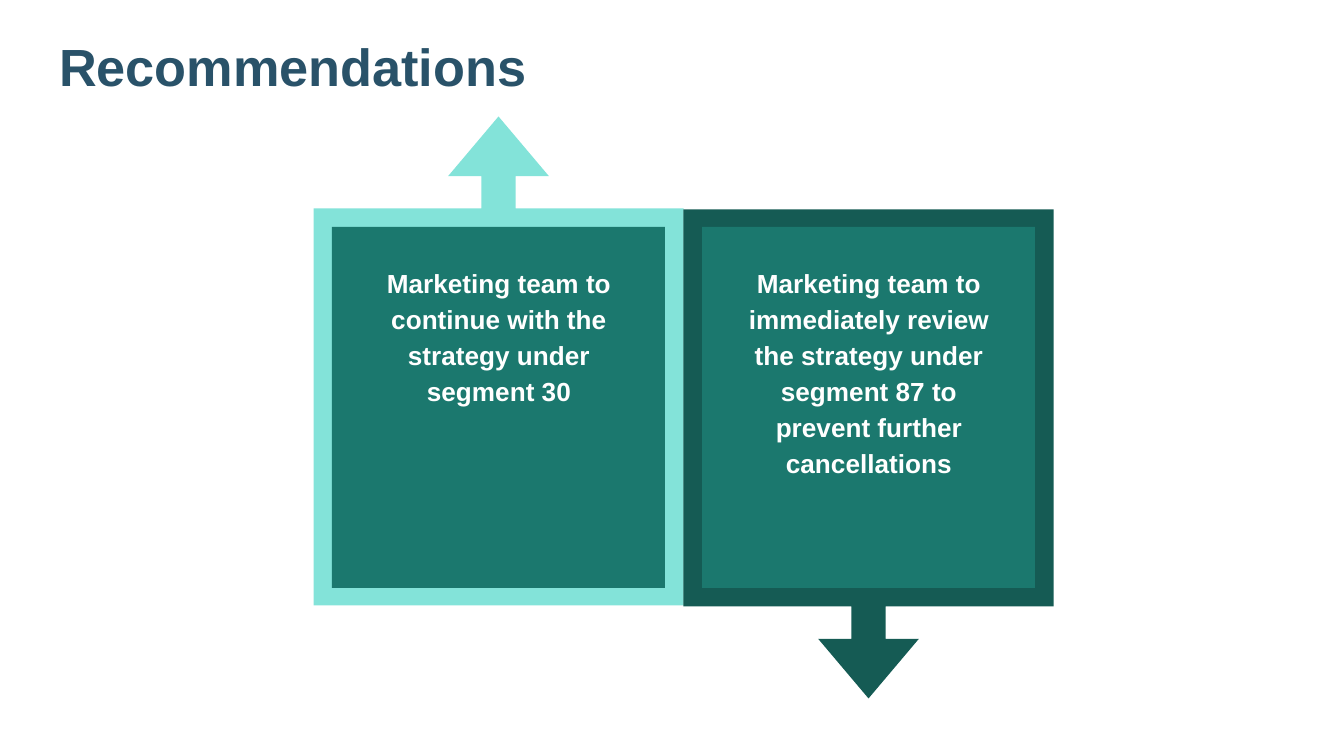
"""Build the Recommendations slide: two framed panels with arrows up and down."""
from pptx import Presentation
from pptx.dml.color import RGBColor as Rgb
from pptx.enum.shapes import MSO_SHAPE as Kind
from pptx.enum.text import PP_ALIGN as Align
from pptx.util import Emu, Inches, Pt

TITLE = "Recommendations"
CARDS = [
    ("Marketing team to continue with the strategy under segment 30", "mint", 270, 176),
    ("Marketing team to immediately review the strategy under segment 87 "
     "to prevent further cancellations", "deep", 90, 269),
]
HEX = {"title": "295269", "mint": "83E3D9", "deep": "155B54",
       "panel": "1B786E", "white": "FFFFFF"}
ARROW = (0.093, 0.136, 0.161, 0.812)
STEP = 370


def px(n):
    return Emu(round(n * 914400 / 134.4))


def add_block(slide, kind, box, color):
    block = slide.shapes.add_shape(kind, *map(px, box))
    block.shadow.inherit = False
    block.fill.solid()
    block.fill.fore_color.rgb = Rgb.from_string(HEX[color])
    block.line.fill.background()
    return block


def add_text(slide, box, text, size, color, align=Align.LEFT, lead=1.0):
    frame = slide.shapes.add_textbox(*map(px, box)).text_frame
    frame.word_wrap = True
    frame.margin_left = frame.margin_right = Inches(0.1)
    frame.margin_top = frame.margin_bottom = Inches(0.1)
    para = frame.paragraphs[0]
    para.text = text
    para.alignment = align
    para.line_spacing = lead
    font = para.font
    font.name, font.size, font.bold = "Arial", Pt(size), True
    font.color.rgb = Rgb.from_string(HEX[color])


def main():
    deck = Presentation()
    deck.slide_width, deck.slide_height = px(1344), px(756)
    slide = deck.slides.add_slide(deck.slide_layouts[6])
    add_text(slide, (46, 21, 1253, 85), TITLE, 28, "title")
    for i, (text, color, turn, top) in enumerate(CARDS):
        left = i * STEP
        frame = add_block(slide, Kind.RIGHT_ARROW_CALLOUT, (254 + left, top, 489, 370), color)
        frame.rotation = turn
        for j, value in enumerate(ARROW):
            frame.adjustments[j] = value
        add_block(slide, Kind.RECTANGLE, (332 + left, 227, 333, 361), "panel")
        add_text(slide, (359 + left, 249, 280, 301), text, 14, "white", Align.CENTER, 1.15)
    deck.save("out.pptx")


if __name__ == "__main__":
    main()
